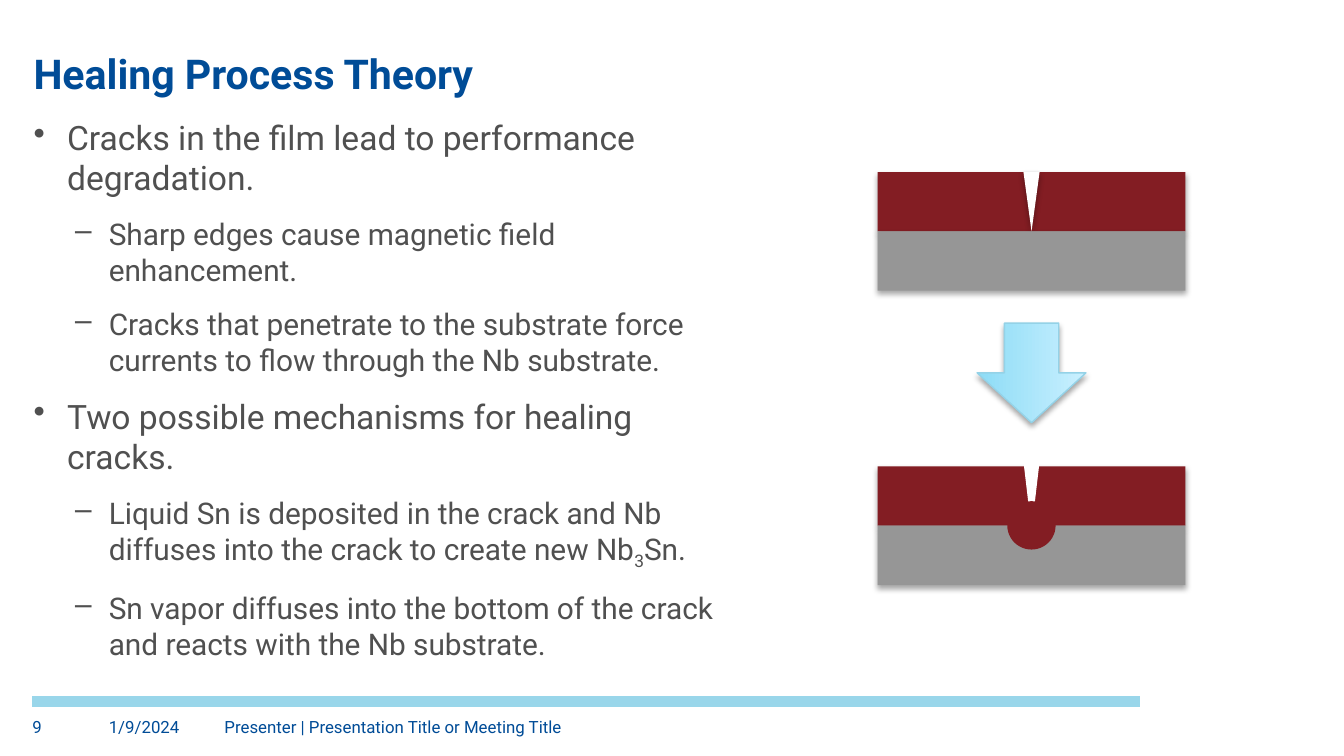
from lxml.etree import SubElement
from pptx import Presentation
from pptx.dml.color import RGBColor
from pptx.enum.shapes import MSO_CONNECTOR, MSO_SHAPE
from pptx.enum.text import MSO_ANCHOR
from pptx.oxml.ns import qn
from pptx.util import Inches, Pt

COLORS = {
    "navy": "004C97", "text": "505050", "bar": "99D6EA",
    "film": "831D23", "substrate": "969696", "white": "FFFFFF",
    "arrow_start": "8DDCF6", "arrow_end": "CAF0FF", "arrow_edge": "94D2E7",
}
RGB = {name: RGBColor.from_string(value) for name, value in COLORS.items()}

presentation = Presentation()
presentation.slide_width = Inches(10)
presentation.slide_height = Inches(5.625)
slide = presentation.slides.add_slide(presentation.slide_layouts[6])
column = presentation.slide_width / 100
row = presentation.slide_height / 100


def add_text(left, top, width, height, paragraphs, anchor=MSO_ANCHOR.TOP):
    shape = slide.shapes.add_textbox(
        round(left * column), round(top * row), round(width * column), round(height * row))
    frame = shape.text_frame
    frame_format = {"word_wrap": True, "vertical_anchor": anchor, "margin_left": 0,
                    "margin_top": 0, "margin_right": 0, "margin_bottom": 0}
    for name, value in frame_format.items():
        setattr(frame, name, value)
    for index, (runs, size, color, bold, bullet, indent) in enumerate(paragraphs):
        paragraph = frame.add_paragraph() if index else frame.paragraphs[0]
        if index:
            paragraph.space_before = Pt(9.8)
        if bullet:
            properties = paragraph._p.get_or_add_pPr()
            properties.set("marL", str(round(indent * column)))
            properties.set("indent", str(round(-2.5 * column)))
            SubElement(properties, qn("a:buChar")).set("char", bullet)
        for text, baseline in runs:
            run = paragraph.add_run()
            run.text = text
            run_format = {"name": "Roboto", "size": Pt(size), "bold": bold}
            for name, value in run_format.items():
                setattr(run.font, name, value)
            run.font.color.rgb = RGB[color]
            if baseline:
                run._r.get_or_add_rPr().set("baseline", str(baseline))


def add_figure(kind, left, top, width, height, fill, rotation=0, edge=None, shadow=True):
    shape = slide.shapes.add_shape(
        kind, round(left * column), round(top * row), round(width * column), round(height * row))
    shape.rotation = rotation
    shape.fill.solid()
    shape.fill.fore_color.rgb = RGB[fill]
    if edge:
        shape.line.color.rgb = RGB[edge]
        shape.line.width = Pt(0.75)
    else:
        shape.line.fill.background()
    shape.shadow.inherit = False
    if shadow:
        effects = shape._element.spPr.find(qn("a:effectLst"))
        outer = SubElement(effects, qn("a:outerShdw"), blurRad=str(Pt(3.1)),
                           dist=str(Pt(1.8)), dir="5400000", rotWithShape="0")
        tint = SubElement(outer, qn("a:srgbClr"), val="000000")
        SubElement(tint, qn("a:alpha"), val="35000")
    return shape


bar_y = round(92.8 * row)
footer_bar = slide.shapes.add_connector(
    MSO_CONNECTOR.STRAIGHT, round(2.4 * column), bar_y, round(84.8 * column), bar_y)
footer_bar.line.color.rgb = RGB["bar"]
footer_bar.line.width = Pt(6)
SubElement(footer_bar._element.spPr, qn("a:effectLst"))

points = [
    (0, [("Cracks in the film lead to performance degradation.", 0)]),
    (1, [("Sharp edges cause magnetic field enhancement.", 0)]),
    (1, [("Cracks that penetrate to the substrate force currents to flow through the Nb substrate.", 0)]),
    (0, [("Two possible mechanisms for healing cracks.", 0)]),
    (1, [("Liquid Sn is deposited in the crack and Nb diffuses into the crack to create new Nb", 0),
         ("3", -25000), ("Sn.", 0)]),
    (1, [("Sn vapor diffuses into the bottom of the crack and reacts with the Nb substrate.", 0)]),
]
levels = [(18, "text", False, "•", 2.5), (16, "text", False, "–", 5.6)]
add_text(2.5, 15.47, 52.4, 73.78, [(runs, *levels[level]) for level, runs in points])
add_text(2.5, 6.76, 95, 6.22,
         [([("Healing Process Theory", 0)], 22, "navy", True, None, 0)], MSO_ANCHOR.BOTTOM)

footers = [
    (8.1, 7.4, "1/9/2024"),
    (16.7, 68.5, "Presenter | Presentation Title or Meeting Title"),
    (2.4, 4.5, "9"),
]
for left, width, text in footers:
    add_text(left, 94.76, width, 3.5, [([(text, 0)], 9, "navy", False, None, 0)])

layer_left, layer_width, layer_height = 65.3, 22.9, 7.85
center = layer_left + layer_width / 2
cracked_top, healed_top = 22.76, 61.7
crack_width = 1.2
crack_left = center - crack_width / 2

add_figure(MSO_SHAPE.RECTANGLE, layer_left, cracked_top, layer_width, layer_height, "film")
add_figure(MSO_SHAPE.ISOSCELES_TRIANGLE, crack_left, cracked_top, crack_width, layer_height,
           "white", rotation=180)
add_figure(MSO_SHAPE.RECTANGLE, layer_left, cracked_top + layer_height,
           layer_width, layer_height, "substrate")

arrow = add_figure(MSO_SHAPE.RIGHT_ARROW, center - 3.7, 42.13, 7.4, 14.4,
                   "arrow_start", rotation=90, edge="arrow_edge")
arrow.fill.gradient()
arrow.fill.gradient_angle = 90
for stop, color in zip(arrow.fill.gradient_stops, ("arrow_start", "arrow_end")):
    stop.color.rgb = RGB[color]

add_figure(MSO_SHAPE.RECTANGLE, layer_left, healed_top, layer_width, layer_height, "film")
add_figure(MSO_SHAPE.ISOSCELES_TRIANGLE, crack_left, 60.27, crack_width, 9.07,
           "white", rotation=180, edge="white", shadow=False)
add_figure(MSO_SHAPE.RECTANGLE, layer_left, healed_top + layer_height,
           layer_width, layer_height, "substrate")
add_figure(MSO_SHAPE.OVAL, center - 1.8, 66.3, 3.6, 6.4, "film", shadow=False)

presentation.save("out.pptx")
